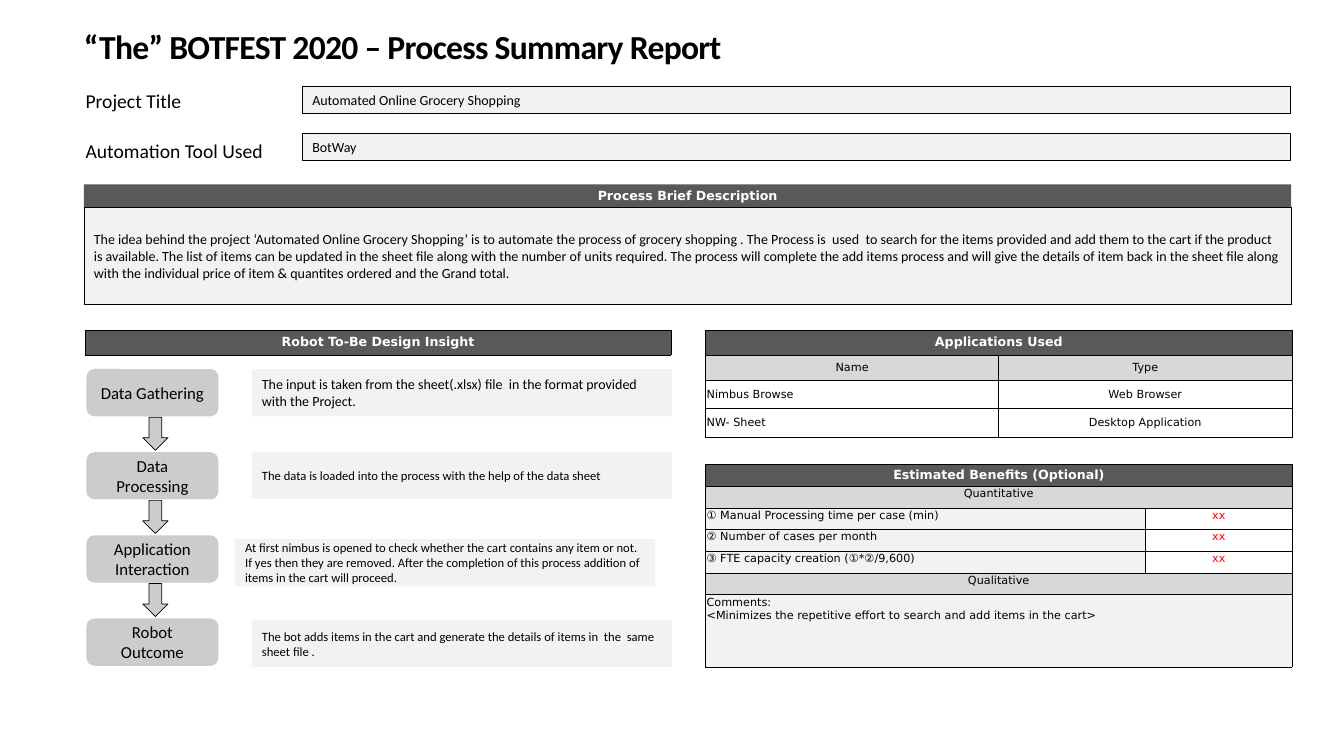
from dataclasses import dataclass
from typing import Any, Optional

import lxml.etree
import pptx
import pptx.dml.color
import pptx.enum.shapes
import pptx.enum.text
import pptx.oxml.ns
import pptx.util

SHAPE = pptx.enum.shapes.MSO_SHAPE
ANCHOR = pptx.enum.text.MSO_ANCHOR
ALIGN = pptx.enum.text.PP_ALIGN
qn = pptx.oxml.ns.qn

WIDTH = pptx.util.Inches(13.33)
HEIGHT = pptx.util.Inches(7.5)
GRID = 16


@dataclass(frozen=True)
class Theme:
    ink: str = "000000"
    paper: str = "FFFFFF"
    bar: str = "595959"
    step: str = "CCCCCC"
    heading: str = "D8D8D8"
    pale: str = "F2F2F2"
    alert: str = "FF0000"
    prose: str = "Calibri"
    tabular: str = "DejaVu Sans"
    title_size: int = 24
    label_size: int = 14
    step_size: int = 12
    body_size: int = 10
    small_size: int = 9
    cell_size: int = 8
    hairline: float = 0.5
    outline: float = 0.75


THEME = Theme()


@dataclass(frozen=True)
class Style:
    size: int = THEME.body_size
    font: str = THEME.prose
    color: str = THEME.ink
    bold: bool = False
    align: ALIGN = ALIGN.LEFT
    anchor: ANCHOR = ANCHOR.MIDDLE


BANNER = Style(THEME.small_size, THEME.tabular, THEME.paper, True, ALIGN.CENTER)


@dataclass(frozen=True)
class Area:
    left: float
    top: float
    columns: float
    rows: float

    def box(self) -> tuple[int, int, int, int]:
        return across(self.left), down(self.top), across(self.columns), down(self.rows)


@dataclass(frozen=True)
class Field:
    label: str
    value: str
    label_top: float
    value_top: float


@dataclass(frozen=True)
class Step:
    name: str
    note: str
    note_left: float
    note_top: float
    note_size: int = THEME.small_size


@dataclass(frozen=True)
class Entry:
    text: str
    fill: str = THEME.paper
    color: str = THEME.ink
    align: ALIGN = ALIGN.CENTER


@dataclass(frozen=True)
class Panel:
    left: float
    top: float
    columns: list[float]
    rows: list[float]
    banner: str
    entries: list[list[Entry]]
    anchor: ANCHOR = ANCHOR.MIDDLE


def across(columns: float) -> int:
    return int(WIDTH * columns / GRID)


def down(rows: float) -> int:
    return int(HEIGHT * rows / GRID)


def rgb(code: str) -> pptx.dml.color.RGBColor:
    return pptx.dml.color.RGBColor.from_string(code)


def write(frame: Any, text: str, style: Style) -> None:
    frame.text = text
    frame.word_wrap = True
    for paragraph in frame.paragraphs:
        paragraph.alignment = style.align
        for run in paragraph.runs:
            run.font.size = pptx.util.Pt(style.size)
            run.font.name = style.font
            run.font.bold = style.bold
            run.font.color.rgb = rgb(style.color)


def draw_block(slide: Any, area: Area, fill: str, text: str = "", style: Style = Style(),
               kind: SHAPE = SHAPE.RECTANGLE, line: Optional[float] = None) -> None:
    block = slide.shapes.add_shape(kind, *area.box())
    block.shadow.inherit = False
    block.fill.solid()
    block.fill.fore_color.rgb = rgb(fill)
    if line is None:
        block.line.fill.background()
    else:
        block.line.color.rgb = rgb(THEME.ink)
        block.line.width = pptx.util.Pt(line)
    if text:
        write(block.text_frame, text, style)
        block.text_frame.vertical_anchor = style.anchor


def draw_field(slide: Any, field: Field) -> None:
    label = slide.shapes.add_textbox(*Area(0.9, field.label_top, 2.7, 0.73).box())
    write(label.text_frame, field.label, Style(THEME.label_size))
    draw_block(slide, Area(3.6, field.value_top, 11.76, 0.58), THEME.pale, field.value,
               Style(anchor=ANCHOR.TOP), line=THEME.outline)


def draw_step(slide: Any, step: Step, top: float, last: bool) -> None:
    draw_block(slide, Area(1.03, top, 1.57, 1), THEME.step, step.name,
               Style(THEME.step_size, align=ALIGN.CENTER), SHAPE.ROUNDED_RECTANGLE)
    if not last:
        draw_block(slide, Area(1.7, top + 1.02, 0.3, 0.7), THEME.step,
                   kind=SHAPE.DOWN_ARROW, line=THEME.hairline)
    draw_block(slide, Area(step.note_left, step.note_top, 5, 1), THEME.pale, step.note,
               Style(step.note_size))


def outline_cell(cell: Any) -> None:
    properties = cell._tc.get_or_add_tcPr()
    for place, side in enumerate(("a:lnL", "a:lnR", "a:lnT", "a:lnB")):
        edge = lxml.etree.Element(qn(side), w=str(pptx.util.Pt(THEME.hairline)))
        ink = lxml.etree.SubElement(edge, qn("a:solidFill"))
        lxml.etree.SubElement(ink, qn("a:srgbClr"), val=THEME.ink)
        properties.insert(place, edge)


def draw_panel(slide: Any, panel: Panel) -> None:
    area = Area(panel.left, panel.top, sum(panel.columns), sum(panel.rows))
    grid = slide.shapes.add_table(len(panel.rows), len(panel.columns), *area.box()).table
    grid.first_row = grid.horz_banding = False
    for column, share in zip(grid.columns, panel.columns):
        column.width = across(share)
    for row, share in zip(grid.rows, panel.rows):
        row.height = down(share)
    for cell in grid.iter_cells():
        outline_cell(cell)
    for r, line in enumerate([[Entry(panel.banner, THEME.bar)], *panel.entries]):
        if len(line) < len(panel.columns):
            grid.cell(r, 0).merge(grid.cell(r, len(panel.columns) - 1))
        for c, entry in enumerate(line):
            cell = grid.cell(r, c)
            cell.fill.solid()
            cell.fill.fore_color.rgb = rgb(entry.fill)
            cell.margin_left = cell.margin_right = pptx.util.Inches(0.01)
            cell.margin_top = cell.margin_bottom = pptx.util.Inches(0.01)
            style = Style(THEME.cell_size, THEME.tabular, entry.color, align=entry.align)
            write(cell.text_frame, entry.text, style if r else BANNER)
            cell.vertical_anchor = panel.anchor if r else ANCHOR.MIDDLE


def draw_title(slide: Any, text: str) -> None:
    title = slide.shapes.title
    title.left, title.top, title.width, title.height = Area(1, 0.09, 13.6, 1.9).box()
    frame = title.text_frame
    write(frame, text, Style(THEME.title_size, bold=True))
    frame.auto_size = pptx.enum.text.MSO_AUTO_SIZE.NONE
    frame.vertical_anchor = ANCHOR.MIDDLE
    frame.margin_left = frame.margin_right = frame.margin_top = frame.margin_bottom = 0
    frame.paragraphs[0].line_spacing = 0.86
    frame.paragraphs[0].runs[0].font._element.set("spc", "-50")


DESCRIPTION = (
    "The idea behind the project ‘Automated Online Grocery Shopping’ is to automate the process of grocery "
    "shopping . The Process is  used  to search for the items provided and add them to the cart if the product "
    "is available. The list of items can be updated in the sheet file along with the number of units required. "
    "The process will complete the add items process and will give the details of item back in the sheet file "
    "along with the individual price of item & quantites ordered and the Grand total."
)
FIELDS = [
    Field("Project Title", "Automated Online Grocery Shopping", 1.77, 1.83),
    Field("Automation Tool Used", "BotWay", 2.84, 2.82),
]
STEPS = [
    Step("Data Gathering", "The input is taken from the sheet(.xlsx) file  in the format provided "
         "with the Project.", 3, 7.81, THEME.body_size),
    Step("Data Processing", "The data is loaded into the process with the help of the data sheet", 3, 9.56),
    Step("Application Interaction", "At first nimbus is opened to check whether the cart contains any item or not. "
         "If yes then they are removed. After the completion of this process addition of items in the cart "
         "will proceed.", 2.8, 11.41),
    Step("Robot Outcome", "The bot adds items in the cart and generate the details of items in  the  same "
         "sheet file .", 3, 13.12),
]
MEASURES = ["① Manual Processing time per case (min)", "② Number of cases per month",
            "③ FTE capacity creation (①*②/9,600)"]
COMMENTS = "Comments:\n<Minimizes the repetitive effort to search and add items in the cart>"
PANELS = [
    Panel(1.01, 6.98, [6.98], [0.53], "Robot To-Be Design Insight", []),
    Panel(8.4, 6.98, [3.49] * 2, [0.53, 0.53, 0.61, 0.61], "Applications Used", [
        [Entry("Name", THEME.heading), Entry("Type", THEME.heading)],
        [Entry("Nimbus Browse", align=ALIGN.LEFT), Entry("Web Browser")],
        [Entry("NW- Sheet", align=ALIGN.LEFT), Entry("Desktop Application")],
    ]),
    Panel(8.4, 9.83, [5.24, 1.74], [0.46] * 6 + [1.53], "Estimated Benefits (Optional)", [
        [Entry("Quantitative", THEME.heading)],
        *[[Entry(measure, THEME.pale, align=ALIGN.LEFT), Entry("xx", color=THEME.alert)] for measure in MEASURES],
        [Entry("Qualitative", THEME.heading)],
        [Entry(COMMENTS, THEME.pale, align=ALIGN.LEFT)],
    ], ANCHOR.TOP),
]


def main() -> None:
    report = pptx.Presentation()
    report.slide_width, report.slide_height = WIDTH, HEIGHT
    summary = report.slides.add_slide(report.slide_layouts[5])
    draw_title(summary, "“The” BOTFEST 2020 – Process Summary Report")
    for field in FIELDS:
        draw_field(summary, field)
    draw_block(summary, Area(1, 3.9, 14.37, 0.49), THEME.bar, "Process Brief Description", BANNER)
    draw_block(summary, Area(1, 4.39, 14.37, 2.06), THEME.pale, DESCRIPTION, line=THEME.hairline)
    for order, step in enumerate(STEPS):
        draw_step(summary, step, 7.81 + 1.76 * order, step is STEPS[-1])
    for panel in PANELS:
        draw_panel(summary, panel)
    report.save("out.pptx")


if __name__ == "__main__":
    main()
